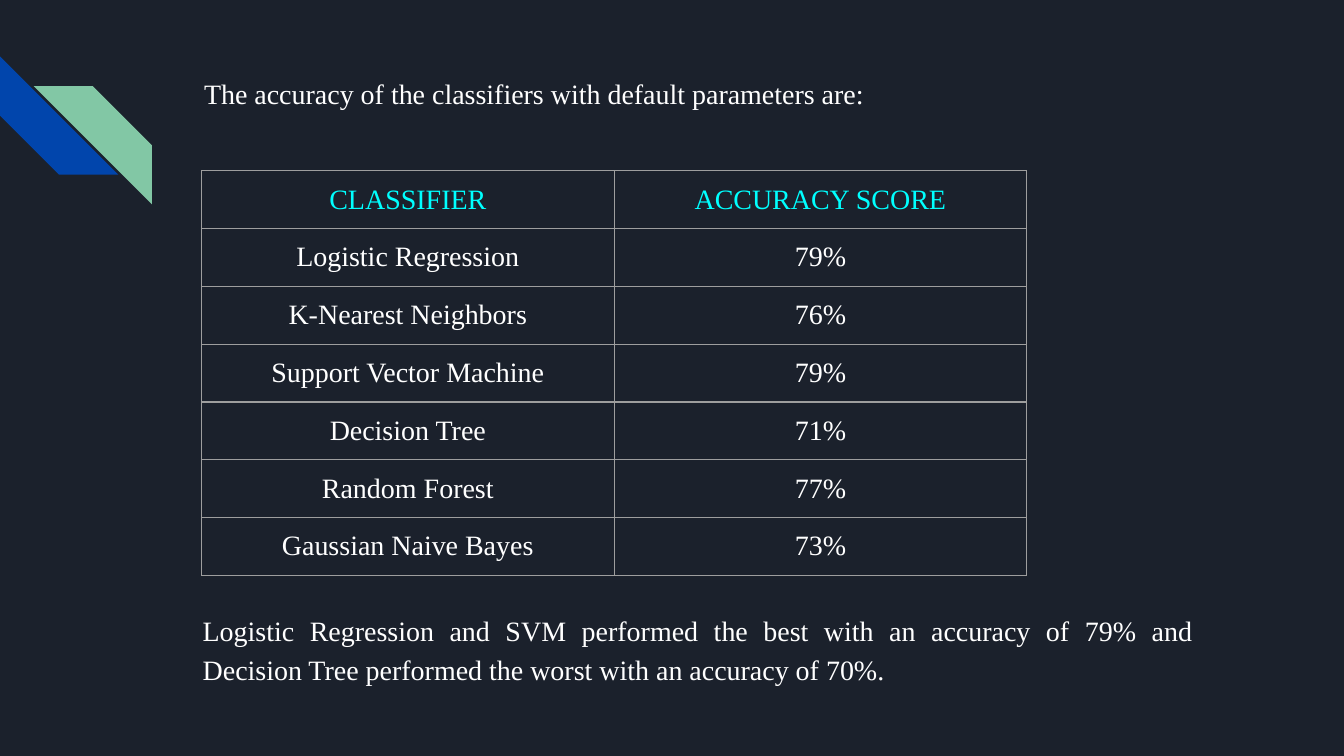
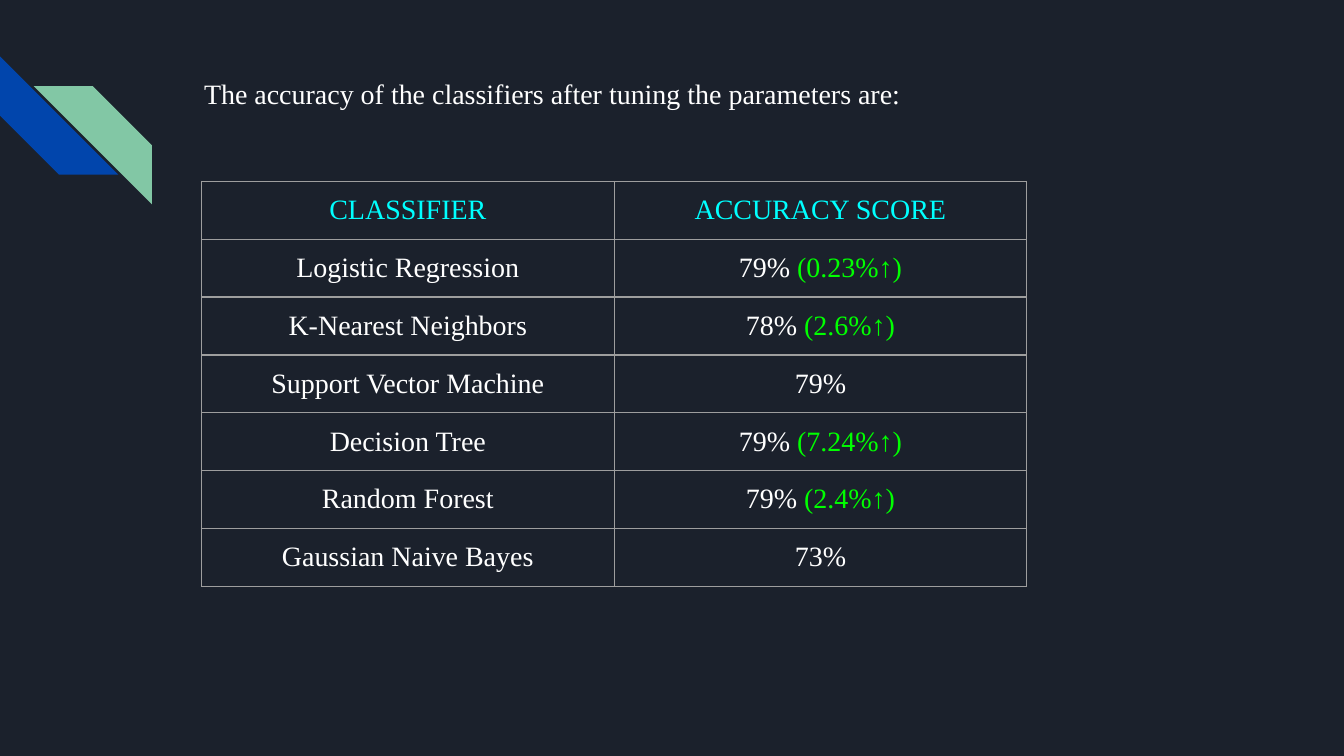
import pptx
import pptx.dml.color
import pptx.enum.shapes
import pptx.enum.text
import pptx.oxml.ns
import pptx.util
from lxml import etree

Inches = pptx.util.Inches
Pt = pptx.util.Pt
ALIGN = pptx.enum.text.PP_ALIGN

COLORS = {
    "background": "1B212C",
    "blue": "0145AC",
    "green": "82C7A5",
    "text": "FFFFFF",
    "header": "00FFFF",
    "gain": "00FF00",
    "border": "9E9E9E",
}
FONT = "Times New Roman"
FONT_SIZE = 15
MARGIN = 0.1
CELL_BOTTOM_MARGIN = 0.08
STRIPE_SIZE = 0.88
COLUMN_WIDTH = 3.07
ROW_HEIGHT = 0.42

HEADINGS = ("CLASSIFIER", "ACCURACY SCORE")
CLASSIFIERS = (
    "Logistic Regression",
    "K-Nearest Neighbors",
    "Support Vector Machine",
    "Decision Tree",
    "Random Forest",
    "Gaussian Naive Bayes",
)
DEFAULT_SCORES = ("79%", "76%", "79%", "71%", "77%", "73%")
TUNED_SCORES = ("79%", "78%", "79%", "79%", "79%", "73%")
TUNING_GAINS = ("0.23%", "2.6%", "", "7.24%", "2.4%", "")


def rgb(name):
    return pptx.dml.color.RGBColor.from_string(COLORS[name])


def style_paragraph(paragraph, color, alignment):
    paragraph.alignment = alignment
    paragraph.font.name = FONT
    paragraph.font.size = Pt(FONT_SIZE)
    paragraph.font.color.rgb = rgb(color)


def set_margins(holder, bottom=MARGIN):
    """Apply the common inset to a text frame or a table cell."""
    holder.margin_left = holder.margin_right = holder.margin_top = Inches(MARGIN)
    holder.margin_bottom = Inches(bottom)


def add_stripe(slide, left, top, rotation, color):
    stripe = slide.shapes.add_shape(
        pptx.enum.shapes.MSO_SHAPE.DIAGONAL_STRIPE,
        Inches(left), Inches(top), Inches(STRIPE_SIZE), Inches(STRIPE_SIZE))
    stripe.adjustments[0] = 0.5
    stripe.rotation = rotation
    stripe.shadow.inherit = False
    stripe.fill.solid()
    stripe.fill.fore_color.rgb = rgb(color)
    stripe.line.fill.background()


def add_statement(slide, text, left, top, width, height):
    frame = slide.shapes.add_textbox(
        Inches(left), Inches(top), Inches(width), Inches(height)).text_frame
    frame.word_wrap = True
    set_margins(frame)
    statement = frame.paragraphs[0]
    statement.text = text
    statement.line_spacing = 1.15
    statement.space_before = Pt(12)
    style_paragraph(statement, "text", ALIGN.JUSTIFY)


def add_borders(cell):
    properties = cell._tc.get_or_add_tcPr()
    for side in ("a:lnL", "a:lnR", "a:lnT", "a:lnB"):
        line = etree.SubElement(properties, pptx.oxml.ns.qn(side), w=str(Pt(0.75)))
        fill = etree.SubElement(line, pptx.oxml.ns.qn("a:solidFill"))
        etree.SubElement(fill, pptx.oxml.ns.qn("a:srgbClr"), val=COLORS["border"])


def fill_cell(cell, text, color, gain=""):
    set_margins(cell, CELL_BOTTOM_MARGIN)
    add_borders(cell)
    cell.fill.background()
    paragraph = cell.text_frame.paragraphs[0]
    style_paragraph(paragraph, color, ALIGN.CENTER)
    paragraph.add_run().text = f"{text} " if gain else text
    if gain:
        gain_run = paragraph.add_run()
        gain_run.text = f"({gain}↑)"
        gain_run.font.color.rgb = rgb("gain")


def add_score_table(slide, top, scores, gains):
    row_count = len(CLASSIFIERS) + 1
    table = slide.shapes.add_table(
        row_count, len(HEADINGS), Inches(1.5), Inches(top),
        Inches(COLUMN_WIDTH * len(HEADINGS)), Inches(ROW_HEIGHT * row_count)).table
    table.first_row = False
    table.horz_banding = False
    for column in table.columns:
        column.width = Inches(COLUMN_WIDTH)
    for row in table.rows:
        row.height = Inches(ROW_HEIGHT)
    for column, heading in enumerate(HEADINGS):
        fill_cell(table.cell(0, column), heading, "header")
    for row, (classifier, score, gain) in enumerate(zip(CLASSIFIERS, scores, gains), 1):
        fill_cell(table.cell(row, 0), classifier, "text")
        fill_cell(table.cell(row, 1), score, "text", gain)


def add_accuracy_slide(deck, title, table_top, scores, gains):
    slide = deck.slides.add_slide(deck.slide_layouts[6])
    slide.background.fill.solid()
    slide.background.fill.fore_color.rgb = rgb("background")
    add_stripe(slide, 0, 0.42, 270, "blue")
    add_stripe(slide, 0.25, 0.64, 90, "green")
    add_statement(slide, title, 1.42, 0.43, 7.7, 1)
    add_score_table(slide, table_top, scores, gains)
    return slide


def main():
    deck = pptx.Presentation()
    deck.slide_width = Inches(10)
    deck.slide_height = Inches(5.625)

    default_slide = add_accuracy_slide(
        deck, "The accuracy of the classifiers with default parameters are:",
        1.27, DEFAULT_SCORES, [""] * len(CLASSIFIERS))
    add_statement(
        default_slide,
        "Logistic Regression and SVM performed the best with an accuracy of 79% "
        "and Decision Tree performed the worst with an accuracy of 70%.",
        1.41, 4.43, 7.57, 0.8)
    add_accuracy_slide(
        deck, "The accuracy of the classifiers after tuning the parameters are:",
        1.35, TUNED_SCORES, TUNING_GAINS)

    deck.save("out.pptx")


if __name__ == "__main__":
    main()
